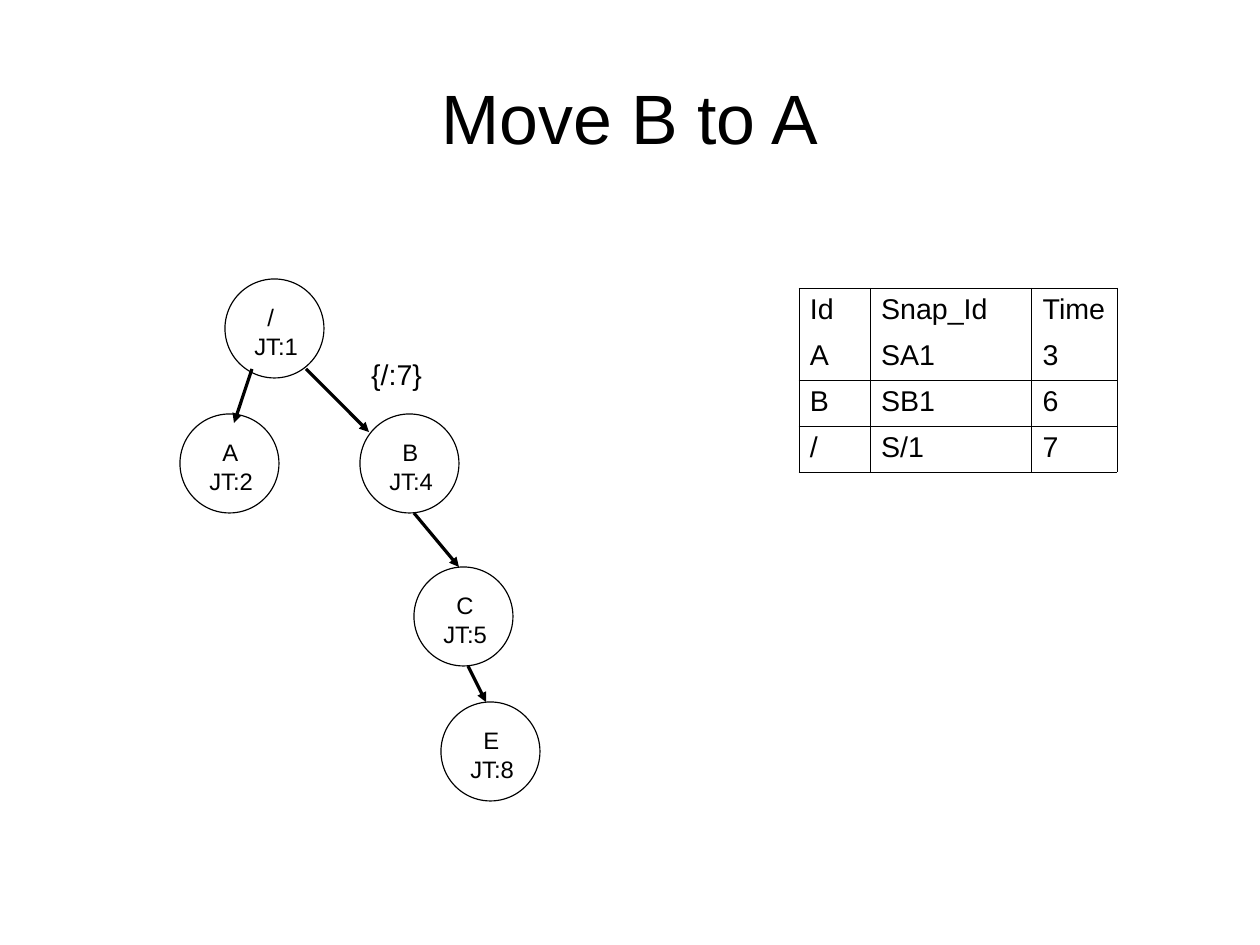
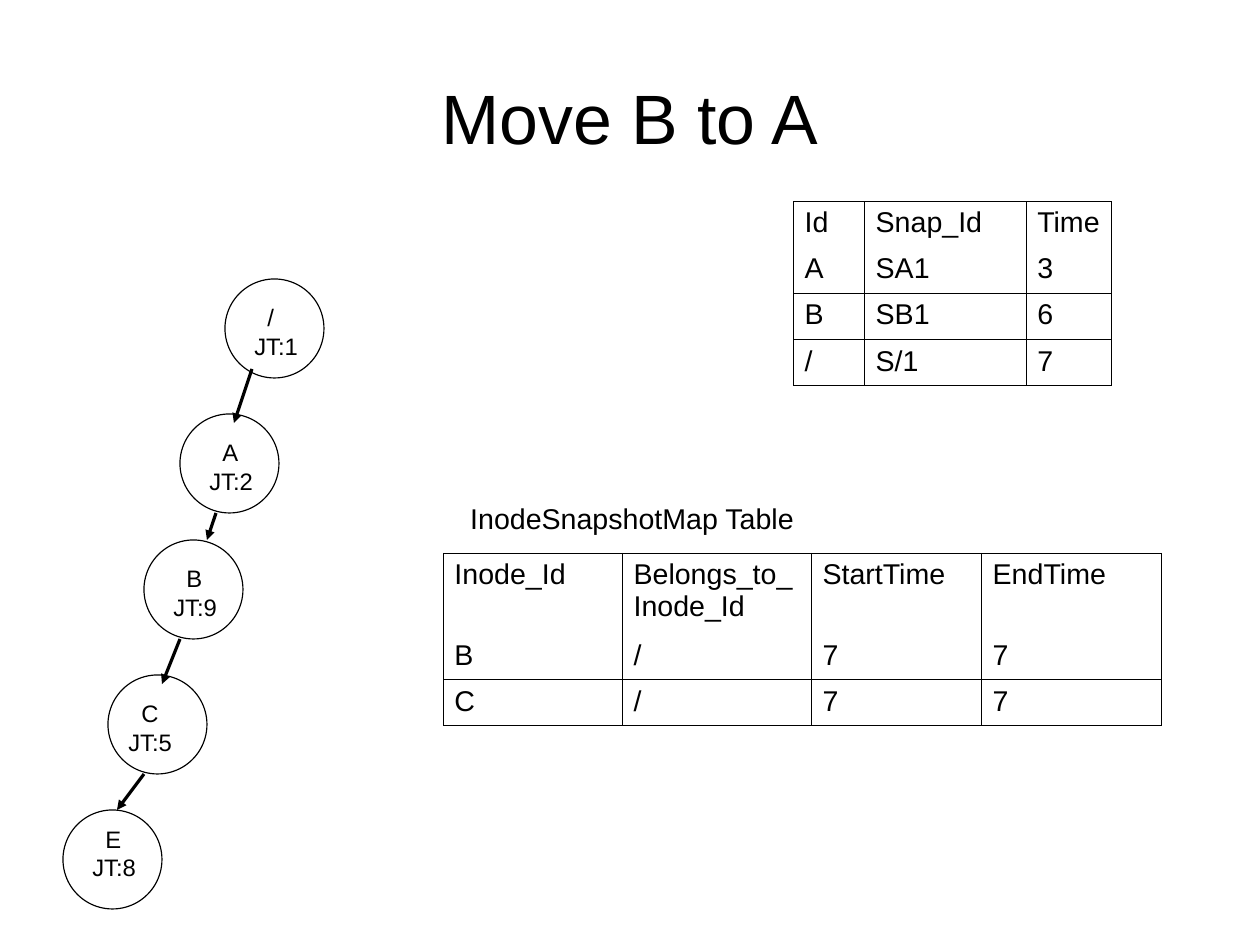
from lxml.etree import SubElement
from pptx import Presentation
from pptx.dml.color import RGBColor
from pptx.enum.shapes import MSO_CONNECTOR, MSO_SHAPE
from pptx.enum.text import MSO_ANCHOR, PP_ALIGN
from pptx.oxml.ns import qn
from pptx.util import Cm, Pt

COLORS = {"ink": "000000", "paper": "FFFFFF"}
FONT = "Arial"
TITLE_BOX = (1.4, 0.84, 25.2, 3.5)
NODE_SIZE = 2.2
LETTER_INDENT = 0.29
SNAPSHOTS = [
    ["Id", "Snap_Id", "Time"],
    ["A", "SA1", "3"],
    ["B", "SB1", "6"],
    ["/", "S/1", "7"],
]
SNAPSHOT_COLUMNS = [1.58, 3.59, 1.9]
SNAPSHOT_ROWS = [0.97] * 4
INODE_MAP = [
    ["Inode_Id", "Belongs_to_Inode_Id", "StartTime", "EndTime"],
    ["B", "/", "7", "7"],
    ["C", "/", "7", "7"],
]
INODE_COLUMNS = [3.98, 4.2, 3.78, 3.99]
INODE_ROWS = [1.75, 1.02, 1.02]


def color(name):
    return RGBColor.from_string(COLORS[name])


def add_span(para, text, size):
    span = para.add_run()
    span.text = text
    span.font.name = FONT
    span.font.size = Pt(size)
    span.font.color.rgb = color("ink")


def set_insets(frame, left, top, right, bottom):
    frame.margin_left, frame.margin_top = Cm(left), Cm(top)
    frame.margin_right, frame.margin_bottom = Cm(right), Cm(bottom)


def add_text(page, box, text, size=18):
    frame = page.shapes.add_textbox(*map(Cm, box)).text_frame
    frame.word_wrap = True
    add_span(frame.paragraphs[0], text, size)
    return frame


def add_title(page, text):
    frame = add_text(page, TITLE_BOX, text, 44)
    set_insets(frame, 0, 0, 0, 0)
    frame.vertical_anchor = MSO_ANCHOR.MIDDLE
    frame.paragraphs[0].alignment = PP_ALIGN.CENTER


def add_node(page, left, top, letter, time, shift_x=0, shift_y=0):
    node = page.shapes.add_shape(
        MSO_SHAPE.OVAL, Cm(left), Cm(top), Cm(NODE_SIZE), Cm(NODE_SIZE))
    node.shadow.inherit = False
    node.fill.background()
    node.line.color.rgb = color("ink")
    node.line.width = Pt(0)
    frame = node.text_frame
    frame.word_wrap = True
    frame.vertical_anchor = MSO_ANCHOR.TOP
    set_insets(frame, 0.33 + shift_x, 0.21 + shift_y, 0, 0)
    letter_para = frame.paragraphs[0]
    letter_para._p.get_or_add_pPr().set("marL", str(Cm(LETTER_INDENT)))
    time_para = frame.add_paragraph()
    for para, text in ((letter_para, letter), (time_para, f"JT:{time}")):
        para.alignment = PP_ALIGN.LEFT
        add_span(para, text, 15)


def add_arrow(page, start_x, start_y, end_x, end_y):
    arrow = page.shapes.add_connector(
        MSO_CONNECTOR.STRAIGHT, Cm(start_x), Cm(start_y), Cm(end_x), Cm(end_y))
    arrow.line.color.rgb = color("ink")
    arrow.line.width = Pt(0)
    SubElement(arrow.line._get_or_add_ln(), qn("a:tailEnd"), type="triangle")
    SubElement(arrow._element.spPr, qn("a:effectLst"))


def add_tree(page, left, top, nodes, arrows):
    for x, y, *details in nodes:
        add_node(page, left + x, top + y, *details)
    for start_x, start_y, end_x, end_y in arrows:
        add_arrow(page, left + start_x, top + start_y, left + end_x, top + end_y)


def set_borders(cell, hidden):
    properties = cell._tc.get_or_add_tcPr()
    for side in ("L", "R", "T", "B"):
        line = SubElement(properties, qn(f"a:ln{side}"), w=str(Pt(0.06)))
        if side == hidden:
            SubElement(line, qn("a:noFill"))
        else:
            fill = SubElement(line, qn("a:solidFill"))
            SubElement(fill, qn("a:srgbClr"), val=COLORS["ink"])


def add_grid(page, left, top, columns, heights, rows):
    box = map(Cm, (left, top, sum(columns), sum(heights)))
    table = page.shapes.add_table(len(rows), len(columns), *box).table
    table.first_row = table.horz_banding = False
    for column, width in zip(table.columns, columns):
        column.width = Cm(width)
    for index, (row, height, texts) in enumerate(zip(table.rows, heights, rows)):
        row.height = Cm(height)
        for cell, text in zip(row.cells, texts):
            set_borders(cell, {0: "B", 1: "T"}.get(index))
            cell.fill.solid()
            cell.fill.fore_color.rgb = color("paper")
            set_insets(cell, 0.25, 0.13, 0.25, 0.13)
            add_span(cell.text_frame.paragraphs[0], text, 18)


def add_page(deck):
    page = deck.slides.add_slide(deck.slide_layouts[6])
    add_title(page, "Move B to A")
    return page


def build_before(deck):
    page = add_page(deck)
    add_grid(page, 17.75, 6.4, SNAPSHOT_COLUMNS, SNAPSHOT_ROWS, SNAPSHOTS)
    nodes = [
        (1, 0, "/", 1),
        (0, 3, "A", 2),
        (4, 3, "B", 4),
        (5.2, 6.4, "C", 5),
        (5.8, 9.4, "E", 8),
    ]
    arrows = [
        (1.6, 2, 1.2, 3.2),
        (2.8, 2, 4.2, 3.4),
        (5.2, 5.2, 6.2, 6.4),
        (6.4, 8.6, 6.8, 9.4),
    ]
    add_tree(page, 4, 6.2, nodes, arrows)
    add_text(page, (8, 7.8, 2.4, 0.96), "{/:7}")


def build_after(deck):
    page = add_page(deck)
    add_grid(page, 17.63, 4.47, SNAPSHOT_COLUMNS, SNAPSHOT_ROWS, SNAPSHOTS)
    nodes = [
        (3.6, 0, "/", 1),
        (2.6, 3, "A", 2),
        (1.8, 5.8, "B", 9),
        (1, 8.8, "C", 5, -0.2),
        (0, 11.8, "E", 8, 0, -0.21),
    ]
    arrows = [
        (4.2, 2, 3.8, 3.2),
        (3.4, 5.2, 3.2, 5.8),
        (2.6, 8, 2.2, 9),
        (1.8, 11, 1.2, 11.8),
    ]
    add_tree(page, 1.4, 6.2, nodes, arrows)
    add_text(page, (10.2, 11, 10.4, 0.96), "InodeSnapshotMap Table")
    add_grid(page, 9.85, 12.29, INODE_COLUMNS, INODE_ROWS, INODE_MAP)


def main():
    deck = Presentation()
    deck.slide_width, deck.slide_height = Cm(28), Cm(21)
    build_before(deck)
    build_after(deck)
    deck.save("out.pptx")


if __name__ == "__main__":
    main()
